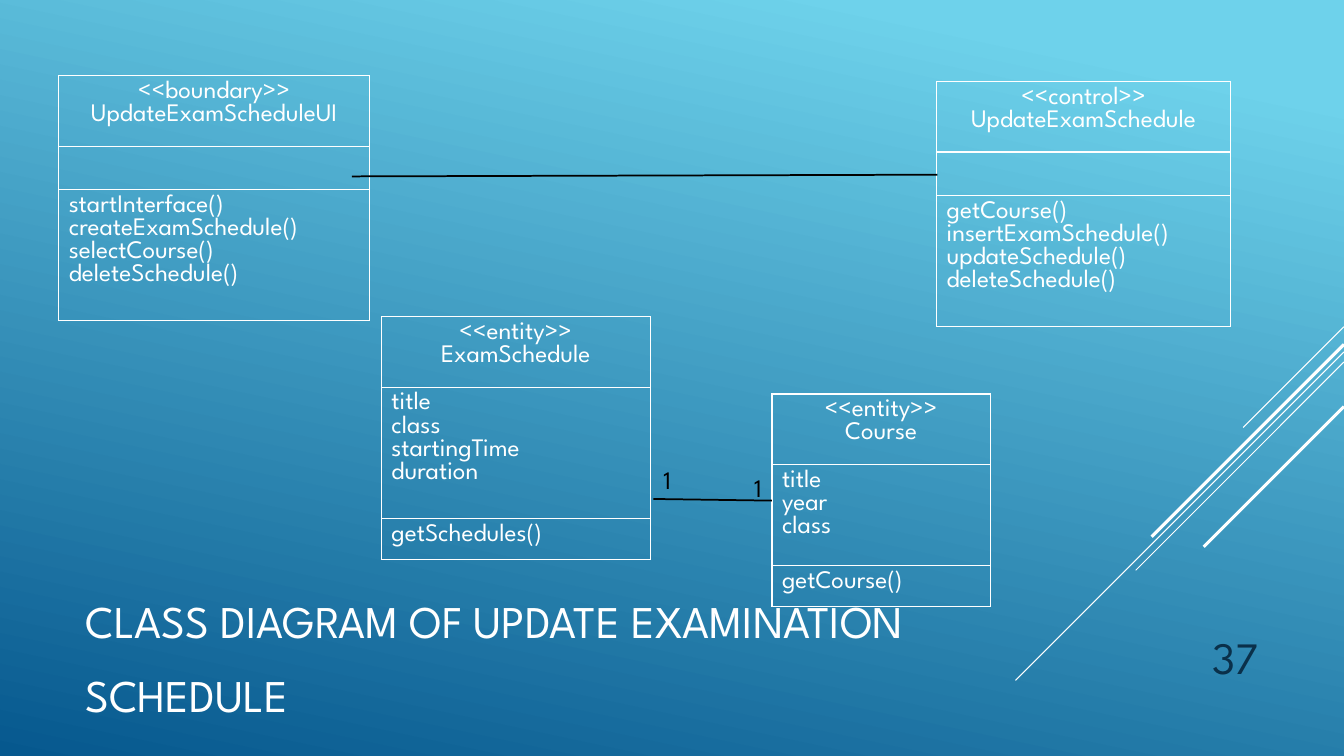
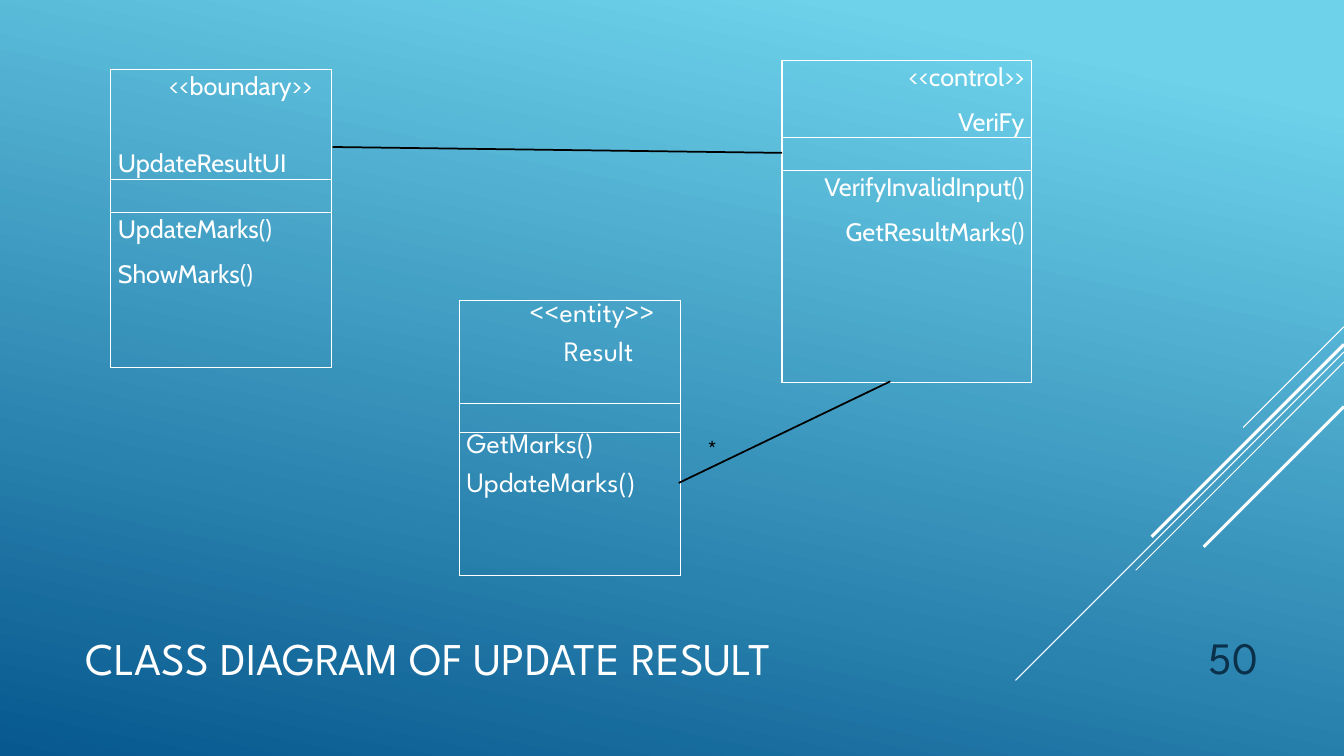
import dataclasses

import pptx
import pptx.dml.color
import pptx.enum.shapes
import pptx.enum.text
import pptx.oxml
import pptx.oxml.ns
import pptx.util

ANCHOR = pptx.enum.text.MSO_ANCHOR
ALIGN = pptx.enum.text.PP_ALIGN
COLUMNS, ROWS = 160, 90
CELL = pptx.util.Inches(7.5) / ROWS


@dataclasses.dataclass(frozen=True)
class Theme:
    sky: str = "6ED2EB"
    deep: str = "06588E"
    light: str = "FFFFFF"
    link: str = "000000"
    number: str = "0A304A"
    heading_font: str = "League Spartan"
    plain_font: str = "Cabin"
    title_size: float = 32.4
    number_size: float = 32
    body_size: float = 18
    entity_size: float = 20
    hairline: float = 0.75
    border: float = 1
    link_line: float = 1.25
    accent_line: float = 2.25


THEME = Theme()


@dataclasses.dataclass(frozen=True)
class TextStyle:
    font: str = THEME.heading_font
    size: float = THEME.body_size
    color: str = THEME.light


@dataclasses.dataclass(frozen=True)
class Line:
    """One line of a class box, with its paragraph format."""
    text: str
    indent: float = 0
    format: dict = dataclasses.field(default_factory=dict)


@dataclasses.dataclass(frozen=True)
class ClassBox:
    """Left, top and width in grid cells; one height and one list of lines per row."""
    left: float
    top: float
    width: float
    heights: tuple
    sections: tuple
    style: TextStyle = TextStyle()
    margins: tuple = (1.2, 0.6)


def grid(*lengths):
    return [pptx.util.Emu(round(length * CELL)) for length in lengths]


def rgb(color):
    return pptx.dml.color.RGBColor.from_string(color)


def apply(target, values):
    for name, value in values.items():
        setattr(target, name, value)


def write(para, text, style, **format_values):
    apply(para, format_values)
    span = para.add_run()
    span.text = text
    apply(span.font, {"name": style.font, "size": pptx.util.Pt(style.size)})
    span.font.color.rgb = rgb(style.color)


def add_text(page, box, text, style, anchor=ANCHOR.TOP, wrap=True, **format_values):
    frame = page.shapes.add_textbox(*grid(*box)).text_frame
    apply(frame, {"word_wrap": wrap, "vertical_anchor": anchor})
    write(frame.paragraphs[0], text, style, **format_values)


def add_line(page, start, end, color, width):
    line = page.shapes.add_connector(
        pptx.enum.shapes.MSO_CONNECTOR.STRAIGHT, *grid(*start, *end))
    line.line.color.rgb = rgb(color)
    line.line.width = pptx.util.Pt(width)
    properties = line._element.spPr
    properties.append(properties.makeelement(pptx.oxml.ns.qn("a:effectLst"), {}))


def outline(cell):
    properties = cell._tc.get_or_add_tcPr()
    for position, side in enumerate(("lnL", "lnR", "lnT", "lnB")):
        properties.insert(position, pptx.oxml.parse_xml(
            f'<a:{side} {pptx.oxml.ns.nsdecls("a")} w="{pptx.util.Pt(THEME.border)}">'
            f'<a:solidFill><a:srgbClr val="{THEME.light}"/></a:solidFill></a:{side}>'))


def fill_section(cell, lines, box):
    side, end = grid(*box.margins) if lines else (0, 0)
    apply(cell, {"margin_left": side, "margin_right": side,
                 "margin_top": end, "margin_bottom": end})
    cell.fill.background()
    outline(cell)
    frame = cell.text_frame
    if not lines:
        # A small end mark lets an empty row keep its set height.
        frame.paragraphs[0]._p.get_or_add_endParaRPr().set("sz", "1000")
    for index, line in enumerate(lines):
        para = frame.add_paragraph() if index else frame.paragraphs[0]
        write(para, line.text, box.style, **line.format)
        if line.indent:
            para._p.get_or_add_pPr().set("marL", str(grid(line.indent)[0]))


def add_class_box(page, box):
    table = page.shapes.add_table(
        len(box.heights), 1,
        *grid(box.left, box.top, box.width, sum(box.heights))).table
    apply(table, {"first_row": False, "horz_banding": False})
    table.columns[0].width = grid(box.width)[0]
    for row, height, lines in zip(table.rows, box.heights, box.sections):
        row.height = grid(height)[0]
        fill_section(row.cells[0], lines, box)


def compact_box(place, heights, kind, name, attributes, methods):
    """Class box with a centred heading and tight lines."""
    heading = [Line(text, format={"alignment": ALIGN.CENTER})
               for text in (f"<<{kind}>>", name)]
    return ClassBox(*place, heights,
                    (heading, [Line(text) for text in attributes],
                     [Line(text) for text in methods]))


def spaced(text, indent=0, **format_values):
    return Line(text, indent, {"line_spacing": 1.07,
                               "space_after": pptx.util.Pt(8), **format_values})


def spaced_box(place, heights, heading, methods, style):
    """Class box with open line spacing and no attributes."""
    return ClassBox(*place, heights, (heading, [], methods), style, (0.85, 0))


def add_backdrop(deck):
    fill = deck.slide_master.background.fill
    fill.gradient()
    fill.gradient_angle = 360 - 102
    for stop, position, color in zip(fill.gradient_stops, (0.1, 1),
                                     (THEME.sky, THEME.deep)):
        stop.position = position
        stop.color.rgb = rgb(color)


def add_diagonals(page):
    for top, length, width in ((38.9, 12, THEME.hairline),
                               (41.9, 39.1, THEME.hairline),
                               (43.1, 24.8, THEME.hairline),
                               (41, 22.9, THEME.accent_line),
                               (48.4, 16.7, THEME.accent_line)):
        add_line(page, (COLUMNS, top), (COLUMNS - length, top + length),
                 THEME.light, width)


def add_diagram_page(deck, title, number, boxes, links, labels):
    page = deck.slides.add_slide(deck.slide_layouts[6])
    add_diagonals(page)
    add_text(page, (9, 75.6, 112, 3), title, TextStyle(size=THEME.title_size),
             ANCHOR.MIDDLE, line_spacing=1.35)
    for box in boxes:
        add_class_box(page, box)
    for start, end in links:
        add_line(page, start, end, THEME.link, THEME.link_line)
    for left, top, text in labels:
        add_text(page, (left, top, 3.6, 4.8), text,
                 TextStyle(color=THEME.link), wrap=False)
    add_text(page, (136, 73.2, 15, 8.8), number,
             TextStyle(size=THEME.number_size, color=THEME.number),
             ANCHOR.BOTTOM, alignment=ALIGN.RIGHT)


def add_schedule_page(deck):
    boxes = [
        compact_box((7, 9, 37), (6.8, 5.15, 15), "boundary", "UpdateExamScheduleUI", (),
                    ("startInterface()", "createExamSchedule()",
                     "selectCourse()", "deleteSchedule()")),
        compact_box((111.5, 9.7, 35), (6.7, 5.15, 12.25), "control", "UpdateExamSchedule", (),
                    ("getCourse()", "insertExamSchedule()",
                     "updateSchedule()", "deleteSchedule()")),
        compact_box((45.4, 37.7, 32), (6.8, 12.25, 4.9), "entity", "ExamSchedule",
                    ("title", "class", "startingTime", "duration"), ("getSchedules()",)),
        compact_box((91.9, 46.9, 26), (6.8, 9.45, 4.9), "entity", "Course",
                    ("title", "year", "class"), ("getCourse()",)),
    ]
    add_diagram_page(
        deck, "CLASS DIAGRAM OF UPDATE EXAMINATION SCHEDULE", "37", boxes,
        links=[((77.8, 59.4), (91.9, 59.6)), ((41.9, 21), (111.6, 20.8))],
        labels=[(77.8, 54.7, "1"), (88.6, 55.6, "1")])


def add_result_page(deck):
    plain = TextStyle(font=THEME.plain_font)
    right = {"alignment": ALIGN.RIGHT}
    boxes = [
        spaced_box((13.2, 8.25, 26.3), (13.1, 3.95, 18.45),
                   [spaced("<<boundary>>", 6.1),
                    spaced("UpdateResultUI", space_before=pptx.util.Pt(23.4))],
                   [spaced("UpdateMarks()"), spaced("ShowMarks()")], plain),
        spaced_box((93.1, 7.2, 29.7), (9.15, 3.95, 25.2),
                   [spaced("<<control>>", **right), spaced("VeriFy", **right)],
                   [spaced("VerifyInvalidInput()", **right),
                    spaced("GetResultMarks()", **right)], plain),
        spaced_box((54.7, 35.8, 26.3), (12.25, 3.45, 17.05),
                   [spaced("<<entity>>", 7.5), spaced("Result", 11.6)],
                   [spaced("GetMarks()"), spaced("UpdateMarks()")],
                   TextStyle(size=THEME.entity_size)),
    ]
    add_diagram_page(
        deck, "CLASS DIAGRAM OF UPDATE RESULT", "50", boxes,
        links=[((39.6, 17.5), (93.1, 18.2)), ((106, 45.4), (80.8, 57.5))],
        labels=[(83, 51, "*")])


def main():
    deck = pptx.Presentation()
    deck.slide_width, deck.slide_height = grid(COLUMNS, ROWS)
    add_backdrop(deck)
    add_schedule_page(deck)
    add_result_page(deck)
    deck.save("out.pptx")


if __name__ == "__main__":
    main()
